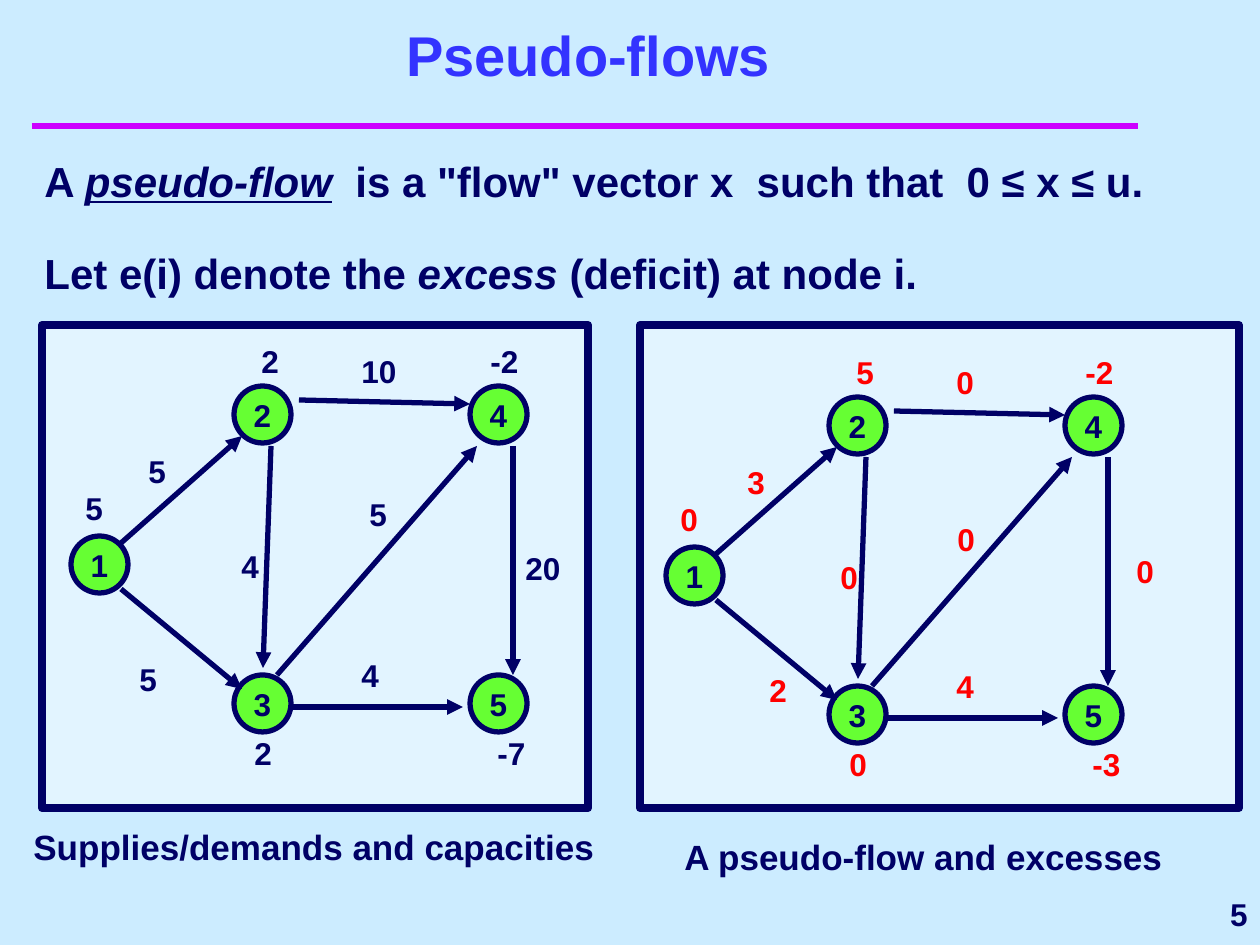
from lxml.etree import SubElement
from pptx import Presentation
from pptx.dml.color import RGBColor
from pptx.enum.shapes import MSO_CONNECTOR, MSO_SHAPE
from pptx.enum.text import MSO_ANCHOR, PP_ALIGN
from pptx.oxml.ns import qn
from pptx.util import Emu, Pt

PX = 914400 / 126
COLORS = {
    "background": "CCECFF", "panel": "E2F4FF", "navy": "000066",
    "node": "66FF33", "rule": "CC00FF", "title": "3333FF", "red": "FF0000",
}
NODE_SIZE = 57
NODES = {"1": (71, 536), "2": (234, 386), "3": (234, 675), "5": (470, 675), "4": (470, 386)}
# Each arc: start, end, label position
ARCS = {
    "1-2": ((121, 543), (242, 436), (136, 446)),
    "2-4": ((299, 400), (470, 404), (349, 346)),
    "4-5": ((513, 446), (513, 675), (513, 543)),
    "3-4": ((277, 675), (477, 446), (357, 489)),
    "1-3": ((121, 589), (242, 689), (127, 654)),
    "3-5": ((292, 707), (463, 707), (349, 650)),
    "2-3": ((271, 446), (263, 668), (229, 541)),
}
BALANCE_PLACES = {"1": (73, 483), "2": (249, 336), "4": (478, 336), "3": (242, 728), "5": (485, 728)}

CAPACITIES = {"1-2": "5", "2-4": "10", "4-5": "20", "3-4": "5", "1-3": "5", "3-5": "4", "2-3": "4"}
SUPPLIES = {"1": "5", "2": "2", "4": "-2", "3": "2", "5": "-7"}
FLOWS = {"1-2": "3", "2-4": "0", "4-5": "0", "3-4": "0", "1-3": "2", "3-5": "4", "2-3": "0"}
EXCESSES = {"1": "0", "2": "5", "4": "-2", "3": "0", "5": "-3"}
FLOW_NUDGES = {"1-2": (4, 0), "4-5": (16, -8), "3-4": (-7, 14), "1-3": (35, 0), "2-3": (4, 0)}


def px(*lengths):
    return [Emu(round(length * PX)) for length in lengths]


def rgb(name):
    return RGBColor.from_string(COLORS[name])


def shift(point, offset):
    return point[0] + offset[0], point[1] + offset[1]


def set_font(paragraph, size, color):
    font = paragraph.font
    font.name, font.size, font.bold = "Arial", Pt(size), True
    font.color.rgb = rgb(color)


def add_text(shapes, box, text, size=18, color="navy", align=PP_ALIGN.LEFT,
             anchor=MSO_ANCHOR.TOP):
    frame = shapes.add_textbox(*px(*box)).text_frame
    frame.word_wrap = True
    frame.vertical_anchor = anchor
    paragraph = frame.paragraphs[0]
    paragraph.text = text
    paragraph.alignment = align
    set_font(paragraph, size, color)


def add_outlined(shapes, kind, box, fill, width):
    shape = shapes.add_shape(kind, *px(*box))
    shape.shadow.inherit = False
    shape.fill.solid()
    shape.fill.fore_color.rgb = rgb(fill)
    shape.line.color.rgb = rgb("navy")
    shape.line.width = Pt(width)
    return shape


def add_panel(shapes, box):
    add_outlined(shapes, MSO_SHAPE.RECTANGLE, box, "panel", 4.5)


def add_node(shapes, name, place):
    node = add_outlined(shapes, MSO_SHAPE.OVAL, (*place, NODE_SIZE, NODE_SIZE), "node", 3)
    frame = node.text_frame
    frame.word_wrap = False
    frame.vertical_anchor = MSO_ANCHOR.MIDDLE
    paragraph = frame.paragraphs[0]
    paragraph.text = name
    paragraph.alignment = PP_ALIGN.CENTER
    set_font(paragraph, 18, "navy")


def add_line(shapes, start, end, color="navy", width=3, arrow=True):
    line = shapes.add_connector(MSO_CONNECTOR.STRAIGHT, *px(*start, *end))
    line.line.color.rgb = rgb(color)
    line.line.width = Pt(width)
    if arrow:
        SubElement(line.line._get_or_add_ln(), qn("a:tailEnd"), type="triangle")
    SubElement(line._element.spPr, qn("a:effectLst"))


def add_network(shapes, offset, arc_values, node_values, color, nudges):
    """Draw the five-node graph with a value on each arc and beside each node."""
    for name, place in NODES.items():
        add_node(shapes, name, shift(place, offset))
    for start, end, _ in ARCS.values():
        add_line(shapes, shift(start, offset), shift(end, offset))
    for arc, (_, _, place) in ARCS.items():
        place = shift(shift(place, offset), nudges.get(arc, (0, 0)))
        add_text(shapes, (*place, 64, 50), arc_values[arc], color=color)
    for name, place in BALANCE_PLACES.items():
        add_text(shapes, (*shift(place, offset), 64, 50), node_values[name], color=color)


def add_definitions(shapes):
    frame = shapes.add_textbox(*px(32, 139, 1166, 168)).text_frame
    frame.word_wrap = True
    sentences = [
        ("A ", "pseudo-flow", "  is a \"flow\" vector x  such that  0 ≤ x ≤ u."),
        ("Let e(i) denote the ", "excess", " (deficit) at node i."),
    ]
    for index, (before, term, after) in enumerate(sentences):
        paragraph = frame.add_paragraph() if index else frame.paragraphs[0]
        paragraph.line_spacing = 1.2
        paragraph.space_before = Pt(18 if index else 0)
        set_font(paragraph, 24, "navy")
        paragraph.add_run().text = before
        term_run = paragraph.add_run()
        term_run.text = term
        term_run.font.italic = True
        if index == 0:
            term_run.font.underline = True
        paragraph.add_run().text = after


def main():
    presentation = Presentation()
    presentation.slide_width, presentation.slide_height = px(1260, 945)
    slide = presentation.slides.add_slide(presentation.slide_layouts[6])
    slide.background.fill.solid()
    slide.background.fill.fore_color.rgb = rgb("background")
    shapes = slide.shapes

    add_line(shapes, (32, 126), (1138, 126), "rule", 4, arrow=False)
    add_text(shapes, (53, 21, 1071, 73), "Pseudo-flows", 32, "title",
             PP_ALIGN.CENTER, MSO_ANCHOR.BOTTOM)
    add_definitions(shapes)

    add_panel(shapes, (640, 325, 599, 483))
    add_network(shapes, (595, 11), FLOWS, EXCESSES, "red", FLOW_NUDGES)
    add_text(shapes, (672, 829, 588, 55), "A pseudo-flow and excesses", 20)

    supply_group = shapes.add_group_shape().shapes
    add_panel(supply_group, (42, 325, 546, 483))
    add_network(supply_group, (0, 0), CAPACITIES, SUPPLIES, "navy", {})
    add_text(supply_group, (21, 819, 588, 55), "Supplies/demands and capacities", 20)

    add_text(shapes, (1018, 882, 242, 63), "5", align=PP_ALIGN.RIGHT,
             anchor=MSO_ANCHOR.MIDDLE)
    presentation.save("out.pptx")


if __name__ == "__main__":
    main()
